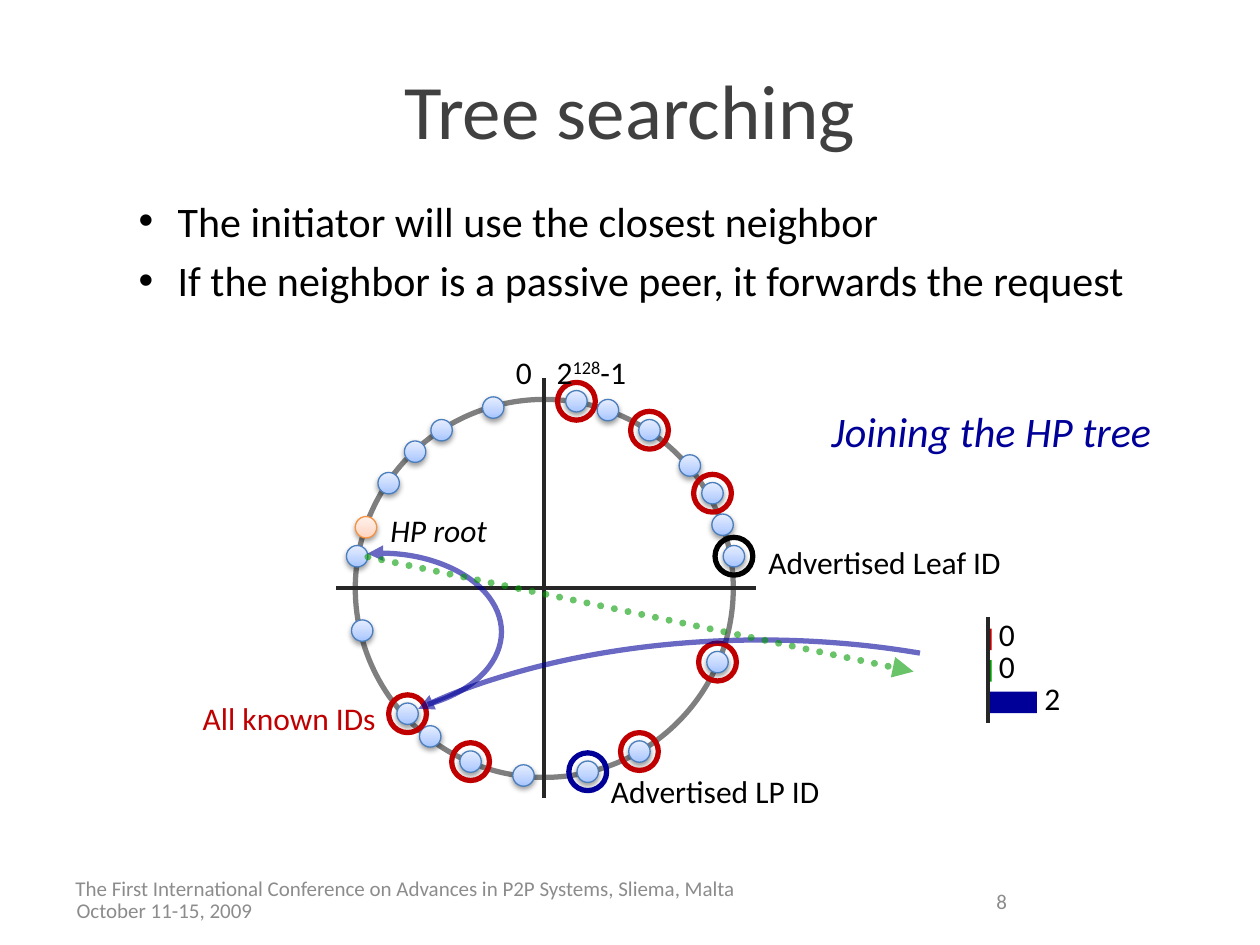
from lxml import etree
from pptx import Presentation
from pptx import util as u
from pptx.dml.color import RGBColor
from pptx.enum import dml, shapes, text
from pptx.oxml import ns

# Content
TITLE = "Tree searching"
BULLETS = ["The initiator will use the closest neighbor",
           "If the neighbor is a passive peer, it forwards the request"]
RED, GREEN, BLUE, BLACK, DARK, GREY = (
    "C00000", "009900", "000099", "000000", "262626", "8C8C8C")
PEER = ("4B7EBC", ["A4C4FF", "BFD4FF", "E6EEFF"])
ROOT = ("F69240", ["FFD2BD", "FFDED0", "FFF2ED"])

# Peers on the ring: left, top, colour of the mark around them
PEERS = [
    (3.21, 3.5, None), (3.83, 3.15, None), (4.74, 3.17, None),
    (5.07, 3.33, RED), (5.65, 4.08, None), (2.75, 4.33, None),
    (2.79, 4.92, None), (3.15, 5.58, RED), (3.65, 5.96, RED),
    (4.07, 6.07, None), (4.99, 5.88, RED), (5.61, 5.17, RED),
    (3.42, 3.33, None), (3, 3.75, None), (3.33, 5.76, None),
    (4.58, 6.04, BLUE), (5.39, 3.61, None), (5.74, 4.33, BLACK),
    (5.57, 3.83, RED), (4.49, 3.1, RED)]
ROOT_AT = (2.82, 4.1)
NODE, MARK = 0.17, 0.3

# Counters: value, colour, bar width
COUNTS = [("0", RED, 0.04), ("0", GREEN, 0.04), ("2", BLUE, 0.4)]

# Labels: text, left, top, width, height, format
LABELS = [
    ("0", 3.49, 2.75, 0.83, 0.4, dict(side="r")),
    ("Advertised LP ID", 4.75, 6.08, 2.75, 0.4, {}),
    ("Advertised Leaf ID", 6, 4.26, 2.75, 0.4, {}),
    ("All known IDs", 0.33, 5.5, 2.75, 0.4, dict(side="r", color=RED)),
    ("HP root", 3, 4.01, 1.25, 0.4, dict(slant=True)),
    ("Joining the HP tree", 6.5, 3.17, 2.75, 0.5,
     dict(size=24, color=BLUE, slant=True))]
SMALL = dict(size=12, color=GREY, middle=True)
FOOT = [
    ("October 11-15, 2009", 0.51, 7.1, 2.33, 0.25, SMALL),
    ("The First International Conference on Advances in P2P Systems, "
     "Sliema, Malta", 0.5, 6.92, 6.92, 0.25, SMALL),
    ("8", 7.42, 6.95, 0.67, 0.4, dict(SMALL, side="r"))]

# Arcs: left, top, width, height, start and end in degrees
ARCS = [(2.08, 5.08, 7.92, 4, 208.12, 303.64),
        (2.06, 4.39, 1.92, 1.25, 260.6, 56.96)]

SIDES = {"l": text.PP_ALIGN.LEFT, "c": text.PP_ALIGN.CENTER,
         "r": text.PP_ALIGN.RIGHT}
KIND = shapes.MSO_SHAPE


def rgb(code):
    return RGBColor.from_string(code)


def add(parent, tag, **attrs):
    el = etree.SubElement(parent, ns.qn("a:" + tag))
    for key, val in attrs.items():
        el.set(key, str(val))
    return el


def box(x, y, w, h):
    return [u.Inches(v) for v in (x, y, w, h)]


def style(font, size=18, color=BLACK, slant=False):
    font.name, font.size, font.italic = "Calibri", u.Pt(size), slant
    font.color.rgb = rgb(color)


def label(words, x, y, w, h, side="l", middle=False, **form):
    frame = slide.shapes.add_textbox(*box(x, y, w, h)).text_frame
    frame.word_wrap = True
    if middle:
        frame.vertical_anchor = text.MSO_ANCHOR.MIDDLE
    para = frame.paragraphs[0]
    para.alignment = SIDES[side]
    run = para.add_run()
    run.text = words
    style(run.font, **form)
    return para


def stroke(shape, color, width, alpha=None):
    shape.line.color.rgb = rgb(color)
    shape.line.width = u.Pt(width)
    ln = shape.line._get_or_add_ln()
    if alpha:
        add(ln.find(".//" + ns.qn("a:srgbClr")), "alpha", val=alpha * 1000)
    return ln


def draw(kind, x, y, w, h, fill=None):
    shape = slide.shapes.add_shape(kind, *box(x, y, w, h))
    shape.shadow.inherit = False
    if fill:
        shape.fill.solid()
        shape.fill.fore_color.rgb = rgb(fill)
        shape.line.fill.background()
    else:
        shape.fill.background()
    return shape


def node(x, y, edge, shades):
    shape = draw(KIND.OVAL, x, y, NODE, NODE)
    stroke(shape, edge, 0.75)
    prop = shape._element.spPr
    # Three-stop gradient in place of the empty fill
    grad = etree.Element(ns.qn("a:gradFill"), rotWithShape="1")
    stops = add(grad, "gsLst")
    for pos, shade in zip((0, 35, 100), shades):
        add(add(stops, "gs", pos=pos * 1000), "srgbClr", val=shade)
    add(grad, "lin", ang=270 * 60000, scaled=1)
    prop.replace(prop.find(ns.qn("a:noFill")), grad)
    # Soft shadow below
    drop = add(prop.find(ns.qn("a:effectLst")), "outerShdw",
               blurRad=u.Pt(3.1), dist=u.Pt(1.6), dir=90 * 60000,
               rotWithShape=0)
    add(add(drop, "srgbClr", val=BLACK), "alpha", val=38000)


def rule(x1, y1, x2, y2, color=DARK, width=2.25, alpha=None):
    line = slide.shapes.add_connector(
        shapes.MSO_CONNECTOR.STRAIGHT, *box(x1, y1, x2, y2))
    ln = stroke(line, color, width, alpha)
    add(line._element.spPr, "effectLst")
    return line, ln


deck = Presentation()
deck.slide_width, deck.slide_height = u.Inches(10), u.Inches(7.5)
slide = deck.slides.add_slide(deck.slide_layouts[1])

# Title and bullets
title, body = slide.placeholders
title.left, title.top, title.width, title.height = box(0.5, 0.3, 9, 1.12)
title.text_frame.text = TITLE
title.text_frame.vertical_anchor = text.MSO_ANCHOR.MIDDLE
title.text_frame.paragraphs[0].alignment = SIDES["c"]
style(title.text_frame.paragraphs[0].runs[0].font, 44, "404040")

body.left, body.top, body.width, body.height = box(0.5, 1.5, 9, 5.42)
body.text_frame.text = "\n".join(BULLETS)
for i, para in enumerate(body.text_frame.paragraphs):
    para.level = 1
    para.space_before = u.Pt(5 if i else 0)
    prop = para._p.get_or_add_pPr()
    prop.set("marL", str(u.Inches(0.81)))
    prop.set("indent", str(u.Inches(-0.31)))
    add(prop, "buFont", typeface="Arial")
    add(prop, "buChar", char="•")
    style(para.runs[0].font, 24)

for item in FOOT:
    label(*item[:5], **item[5])

# Ring, axes and peers
stroke(draw(KIND.OVAL, 2.82, 3.17, 3, 3), DARK, 3, 59)
rule(4.32, 3, 4.32, 6.33)
rule(6, 4.67, 2.67, 4.67)
for x, y, _ in PEERS:
    node(x, y, *PEER)
node(*ROOT_AT, *ROOT)
gap = (MARK - NODE) / 2
for x, y, color in PEERS:
    if color:
        stroke(draw(KIND.OVAL, x - gap, y - gap, MARK, MARK), color, 3)

# Counter bars
for i, (value, color, wide) in enumerate(COUNTS):
    draw(KIND.RECTANGLE, 7.83, 4.99 + i * 0.25, wide, 0.17, color)
    label(value, 7.79 + wide, 4.83 + i * 0.255, 0.83, 0.4)
rule(7.84, 4.9, 7.84, 5.74)

# Labels
for item in LABELS:
    label(*item[:5], **item[5])
top = label("2", 4.32, 2.75, 0.83, 0.4)
for words, base in (("128", 30000), ("-1", 0)):
    run = top.add_run()
    run.text = words
    style(run.font)
    run.font._element.set("baseline", str(base))

# Request path and answer
for x, y, w, h, *ends in ARCS:
    arc = draw(KIND.ARC, x, y, w, h)
    for i, deg in enumerate(ends):
        arc.adjustments[i] = deg * 0.6
    add(stroke(arc, BLUE, 3, 59), "headEnd", type="triangle")
line, ln = rule(2.92, 4.42, 7.25, 5.33, GREEN, 4, 59)
line.line.dash_style = dml.MSO_LINE.ROUND_DOT
ln.set("cap", "rnd")
add(ln, "tailEnd", type="triangle")

deck.save("out.pptx")
